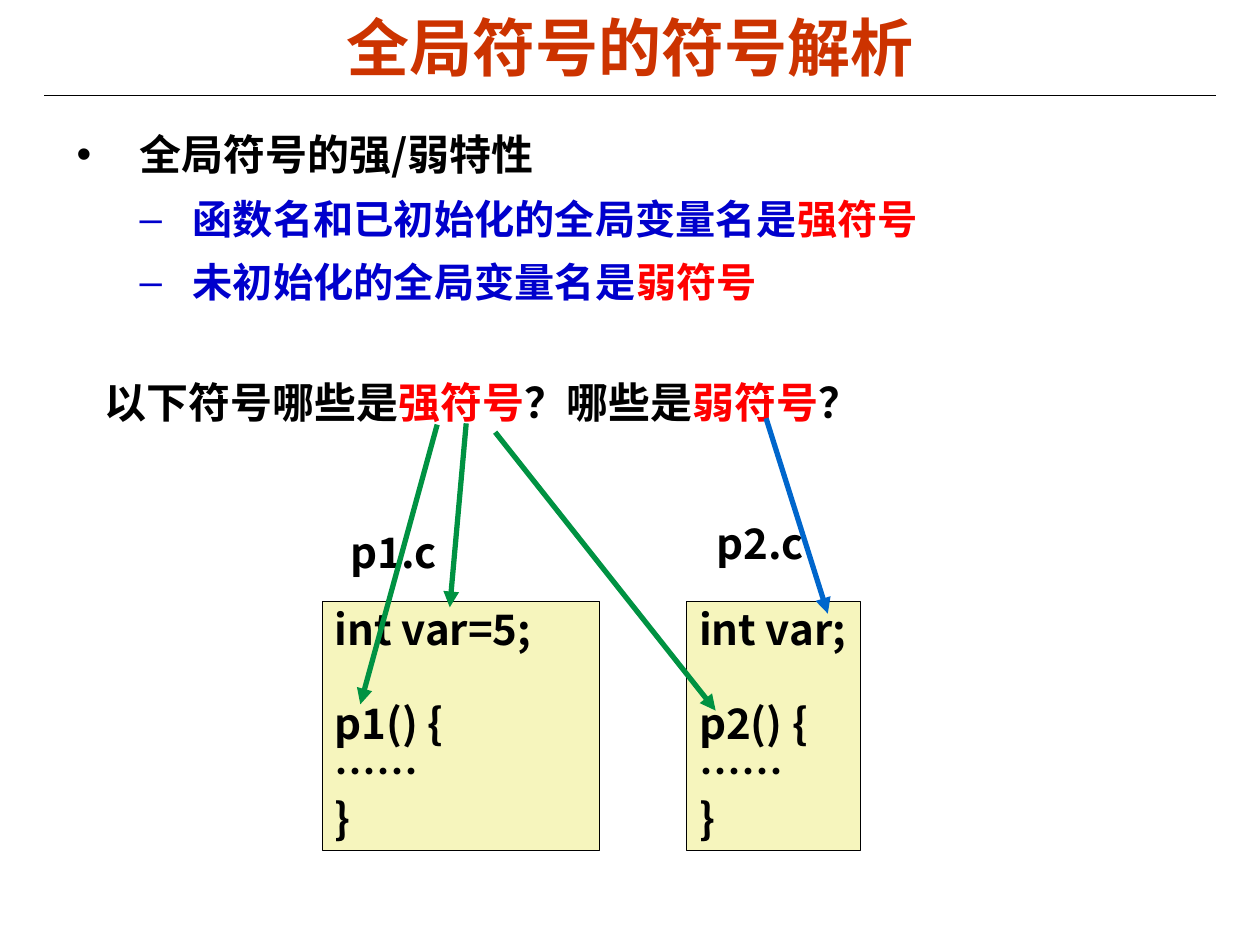
from lxml import etree
from pptx import Presentation, util as u
from pptx.dml.color import RGBColor
from pptx.enum import shapes, text
from pptx.oxml import ns

BLACK = RGBColor(0, 0, 0)
WHITE = RGBColor(255, 255, 255)
RED = RGBColor(255, 0, 0)
TITLE_RED = RGBColor(0xCC, 0x33, 0)
BLUE = RGBColor(0, 0, 0xCC)
CREAM = RGBColor(0xF6, 0xF5, 0xBD)
GREEN = RGBColor(0, 0x92, 0x42)
ARROW_BLUE = RGBColor(0, 0x66, 0xCC)
CJK = "Noto Sans CJK SC"

deck = Presentation()
deck.slide_width, deck.slide_height = u.Inches(10), u.Inches(7.5)
slide = deck.slides.add_slide(deck.slide_layouts[6])


def write(paragraph, runs, size=24, font="Arial", **spacing):
    """Fill a paragraph with (words, colour) runs."""
    for name, value in spacing.items():
        setattr(paragraph, name, value)
    for words, colour in runs:
        run = paragraph.add_run()
        run.text = words
        look = {"size": u.Pt(size), "bold": True, "name": font}
        for name, value in look.items():
            setattr(run.font, name, value)
        run.font.color.rgb = colour
        etree.SubElement(run.font._element, ns.qn("a:ea"), typeface=CJK)


def connect(start, end, colour, width):
    line = slide.shapes.add_connector(
        shapes.MSO_CONNECTOR.STRAIGHT, *map(u.Inches, start + end))
    line.line.color.rgb = colour
    line.line.width = u.Pt(width)
    etree.SubElement(line._element.spPr, ns.qn("a:effectLst"))
    return line


# Title and rule
connect((0.35, 0.76), (9.65, 0.76), BLACK, 0.75)
title = slide.shapes.add_textbox(*map(u.Inches, (0.5, 0.06, 9, 0.61))).text_frame
title.word_wrap = True
title.vertical_anchor = text.MSO_ANCHOR.MIDDLE
write(title.paragraphs[0], [("全局符号的符号解析", TITLE_RED)], 36,
      alignment=text.PP_ALIGN.CENTER)

# Strong and weak symbols
points = [
    ("•", 0, 0.5, 0.5, 24, CJK, BLACK, [("全局符号的强/弱特性", BLACK)]),
    ("–", 1, 0.92, 0.42, 23, "Arial", BLUE,
     [("函数名和已初始化的全局变量名是", BLUE), ("强符号", RED)]),
    ("–", 1, 0.92, 0.42, 23, "Arial", BLUE,
     [("未初始化的全局变量名是", BLUE), ("弱符号", RED)]),
]
body = slide.shapes.add_textbox(*map(u.Inches, (0.51, 0.91, 9, 5.71))).text_frame
body.word_wrap = True
for i, (bullet, level, margin, hang, size, font, colour, runs) in enumerate(points):
    point = body.add_paragraph() if i else body.paragraphs[0]
    pPr = point._p.get_or_add_pPr()
    pPr.set("marL", str(u.Inches(margin)))
    pPr.set("indent", str(-u.Inches(hang)))
    bullet_colour = etree.SubElement(pPr, ns.qn("a:buClr"))
    etree.SubElement(bullet_colour, ns.qn("a:srgbClr"), val=str(colour))
    etree.SubElement(pPr, ns.qn("a:buFont"), typeface="Arial")
    etree.SubElement(pPr, ns.qn("a:buChar"), char=bullet)
    write(point, runs, size, font, level=level, line_spacing=1.15,
          space_before=u.Pt(4.6 if i else 0))

# Source files and their names
files = [
    ((2.56, 4.77, 2.2, 1.98), CREAM, BLACK, True,
     ["int var=5;", "p1() {", "……", "}"]),
    ((5.45, 4.77, 1.38, 1.98), CREAM, BLACK, False,
     ["int var;", "p2() {", "……", "}"]),
    ((2.68, 4.16, 0.9, 0.48), None, WHITE, False, ["p1.c"]),
    ((5.59, 4.09, 0.9, 0.48), None, WHITE, False, ["p2.c"]),
]
for place, fill, outline, wrap, code in files:
    box = slide.shapes.add_shape(shapes.MSO_SHAPE.RECTANGLE, *map(u.Inches, place))
    box.shadow.inherit = False
    if fill:
        box.fill.solid()
        box.fill.fore_color.rgb = fill
    else:
        box.fill.background()
    box.line.color.rgb = outline
    box.line.width = u.Pt(0.25)
    frame = box.text_frame
    frame.word_wrap = wrap
    frame.vertical_anchor = text.MSO_ANCHOR.TOP
    for i, words in enumerate(code):
        row = frame.add_paragraph() if i else frame.paragraphs[0]
        write(row, [(words, BLACK)], font=CJK, line_spacing=0.94,
              alignment=text.PP_ALIGN.LEFT, space_before=u.Pt(27 if i == 1 else 0))

# Question
question = slide.shapes.add_textbox(*map(u.Inches, (0.73, 2.94, 6.97, 0.5))).text_frame
question.word_wrap = True
write(question.paragraphs[0],
      [("以下符号哪些是", BLACK), ("强符号", RED), ("？哪些是", BLACK),
       ("弱符号", RED), ("？", BLACK)])

# Arrows from the answers to the symbols
arrows = [
    ((3.7, 3.36), (3.57, 4.82), GREEN),
    ((3.47, 3.37), (2.86, 5.59), GREEN),
    ((3.93, 3.43), (5.68, 5.64), GREEN),
    ((6.08, 3.32), (6.57, 4.87), ARROW_BLUE),
]
for start, end, colour in arrows:
    arrow = connect(start, end, colour, 3)
    etree.SubElement(arrow.line._get_or_add_ln(), ns.qn("a:tailEnd"), type="triangle")

deck.save("out.pptx")
